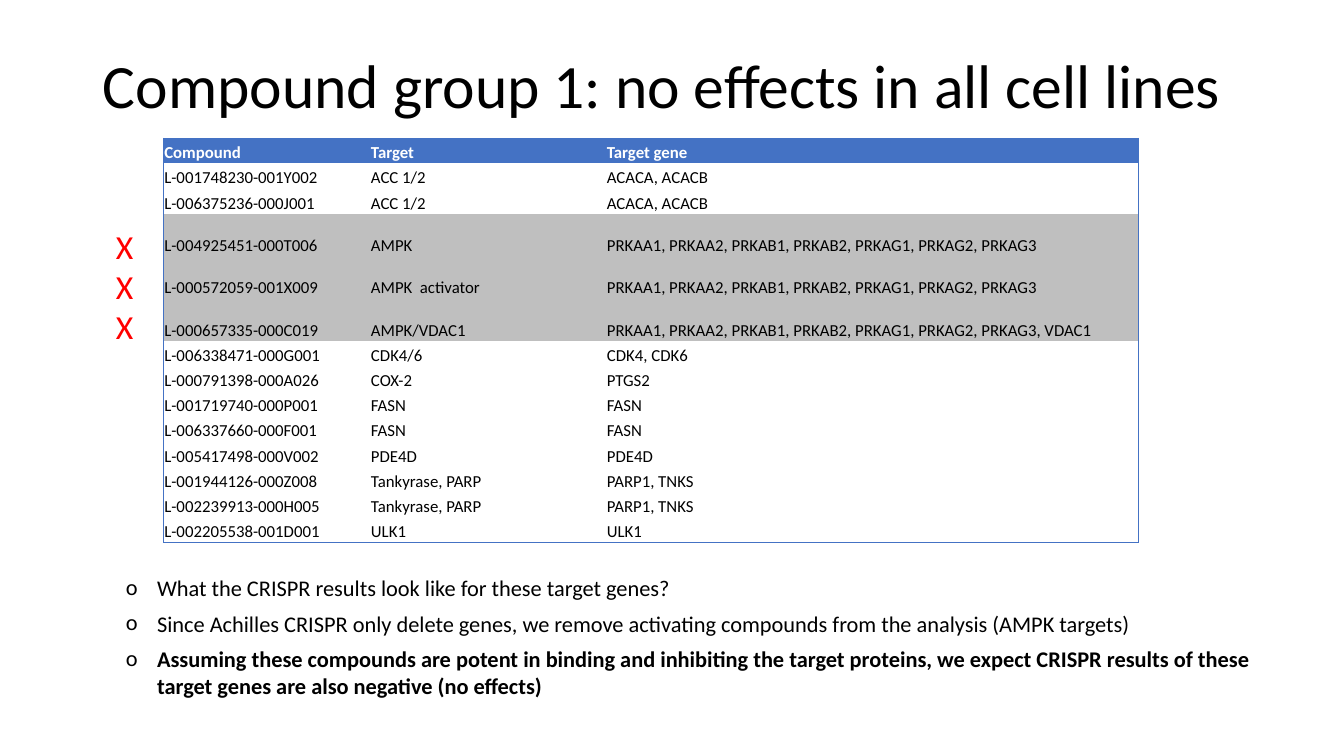
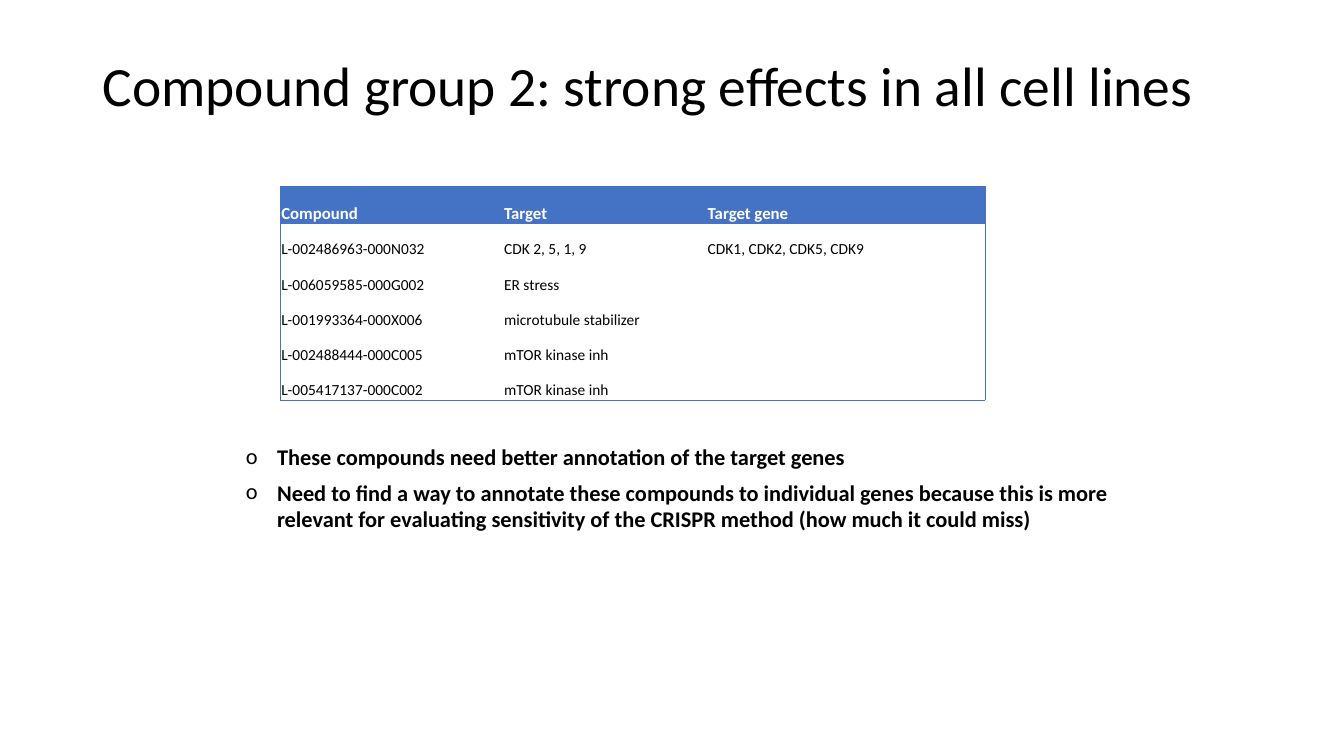
from dataclasses import dataclass

from lxml.etree import SubElement
from pptx import Presentation
from pptx.dml.color import RGBColor
from pptx.enum.text import MSO_ANCHOR, MSO_AUTO_SIZE, PP_ALIGN
from pptx.oxml.ns import qn
from pptx.util import Inches, Pt


@dataclass(frozen=True)
class Theme:
    """Colours, type and line sizes shared by the slides."""
    font: str = "Calibri"
    text: str = "000000"
    accent: str = "4472C4"
    header_text: str = "FFFFFF"
    removed_fill: str = "BFBFBF"
    mark: str = "FF0000"
    header_size: float = 12
    note_size: float = 16
    mark_size: float = 24
    border_width: float = 0.5
    plain_table_style: str = "{2D5ABB26-0587-4C30-8999-92F81FD0307C}"


THEME = Theme()
HEADER = ("Compound", "Target", "Target gene")
AMPK_GENES = "PRKAA1, PRKAA2, PRKAB1, PRKAB2, PRKAG1, PRKAG2, PRKAG3"

GROUPS = [
    {
        "title": "Compound group 1: no effects in all cell lines",
        "title_size": 44,
        "compounds": [
            ("L-001748230-001Y002", "ACC 1/2", "ACACA, ACACB"),
            ("L-006375236-000J001", "ACC 1/2", "ACACA, ACACB"),
            ("L-004925451-000T006", "AMPK", AMPK_GENES),
            ("L-000572059-001X009", "AMPK  activator", AMPK_GENES),
            ("L-000657335-000C019", "AMPK/VDAC1", AMPK_GENES + ", VDAC1"),
            ("L-006338471-000G001", "CDK4/6", "CDK4, CDK6"),
            ("L-000791398-000A026", "COX-2", "PTGS2"),
            ("L-001719740-000P001", "FASN", "FASN"),
            ("L-006337660-000F001", "FASN", "FASN"),
            ("L-005417498-000V002", "PDE4D", "PDE4D"),
            ("L-001944126-000Z008", "Tankyrase, PARP", "PARP1, TNKS"),
            ("L-002239913-000H005", "Tankyrase, PARP", "PARP1, TNKS"),
            ("L-002205538-001D001", "ULK1", "ULK1"),
        ],
        "table_at": (1.62, 1.37),
        "columns": (2.05, 2.34, 5.28),
        "header_height": 0.25,
        "row_height": 0.25,
        "removed_height": 0.42,
        "body_size": 12,
        "notes": [
            ("What the CRISPR results look like for these target genes?", False),
            ("Since Achilles CRISPR only delete genes, we remove activating "
             "compounds from the analysis (AMPK targets)", False),
            ("Assuming these compounds are potent in binding and inhibiting the "
             "target proteins, we expect CRISPR results of these target genes "
             "are also negative (no effects)", True),
        ],
        "notes_at": (1.15, 5.65, 11.47, 1.35),
        "marks_at": (1.05, 2.19, 0.38, 1.31),
    },
    {
        "title": "Compound group 2: strong effects in all cell lines",
        "title_size": 39.6,
        "compounds": [
            ("L-002486963-000N032", "CDK 2, 5, 1, 9", "CDK1, CDK2, CDK5, CDK9"),
            ("L-006059585-000G002", "ER stress", ""),
            ("L-001993364-000X006", "microtubule stabilizer", ""),
            ("L-002488444-000C005", "mTOR kinase inh", ""),
            ("L-005417137-000C002", "mTOR kinase inh", ""),
        ],
        "table_at": (2.78, 1.85),
        "columns": (2.21, 2.02, 2.76),
        "header_height": 0.37,
        "row_height": 0.35,
        "body_size": 11,
        "notes": [
            ("These compounds need better annotation of the target genes", True),
            ("Need to find a way to annotate these compounds to individual genes "
             "because this is more relevant for evaluating sensitivity of the "
             "CRISPR method (how much it could miss)", True),
        ],
        "notes_at": (2.34, 4.35, 9.37, 0.99),
    },
]


def is_removed(compound):
    """Tell whether a compound row is an AMPK one, left out of the analysis."""
    return compound[1].startswith("AMPK")


def add_run(paragraph, text, size, color=THEME.text, bold=False):
    """Add one formatted run."""
    run = paragraph.add_run()
    run.text = text
    run.font.name = THEME.font
    run.font.size = Pt(size)
    run.font.bold = bold
    run.font.color.rgb = RGBColor.from_string(color)


def set_title(slide, text, size):
    """Place and format the title placeholder."""
    title = slide.shapes.title
    title.left, title.top, title.width, title.height = map(
        Inches, (0.92, 0.4, 11.5, 0.96))
    frame = title.text_frame
    frame.word_wrap = True
    frame.auto_size = MSO_AUTO_SIZE.NONE
    frame.vertical_anchor = MSO_ANCHOR.MIDDLE
    paragraph = frame.paragraphs[0]
    paragraph.alignment = PP_ALIGN.LEFT
    paragraph.line_spacing = 0.9
    add_run(paragraph, text, size)


def add_borders(cell, sides):
    """Draw accent borders on the given sides of a cell."""
    properties = cell._tc.get_or_add_tcPr()
    for side in sides:
        line = SubElement(properties, qn(f"a:ln{side}"),
                          w=str(Pt(THEME.border_width)))
        fill = SubElement(line, qn("a:solidFill"))
        SubElement(fill, qn("a:srgbClr"), val=THEME.accent)


def add_compound_table(slide, group):
    """Add the compound table with an outer border and shaded removed rows."""
    rows = [HEADER, *group["compounds"]]
    heights = [group["header_height"]] + [
        group["removed_height"] if is_removed(compound) else group["row_height"]
        for compound in group["compounds"]]
    columns = group["columns"]
    table = slide.shapes.add_table(
        len(rows), len(columns), *map(Inches, group["table_at"]),
        Inches(sum(columns)), Inches(sum(heights))).table
    table.first_row = table.horz_banding = False
    table._tbl.tblPr.find(qn("a:tableStyleId")).text = THEME.plain_table_style
    for column, width in zip(table.columns, columns):
        column.width = Inches(width)

    for r, (values, height) in enumerate(zip(rows, heights)):
        table.rows[r].height = Inches(height)
        header = r == 0
        for c, value in enumerate(values):
            cell = table.cell(r, c)
            cell.margin_left = cell.margin_right = cell.margin_top = Inches(0.01)
            cell.margin_bottom = 0
            cell.vertical_anchor = MSO_ANCHOR.BOTTOM
            edges = {"L": c == 0, "R": c == len(columns) - 1,
                     "T": header, "B": r == len(rows) - 1}
            add_borders(cell, [side for side, outer in edges.items() if outer])
            if header or is_removed(values):
                cell.fill.solid()
                cell.fill.fore_color.rgb = RGBColor.from_string(
                    THEME.accent if header else THEME.removed_fill)
            else:
                cell.fill.background()
            if value:
                add_run(cell.text_frame.paragraphs[0], value,
                        THEME.header_size if header else group["body_size"],
                        THEME.header_text if header else THEME.text, header)


def add_lines(slide, box, lines, size, color, bulleted):
    """Add a text box with one paragraph per (text, bold) line."""
    frame = slide.shapes.add_textbox(*map(Inches, box)).text_frame
    frame.word_wrap = bulleted
    frame.auto_size = MSO_AUTO_SIZE.SHAPE_TO_FIT_TEXT
    for i, (text, bold) in enumerate(lines):
        paragraph = frame.add_paragraph() if i else frame.paragraphs[0]
        if bulleted:
            paragraph.space_after = Pt(6)
            properties = paragraph._p.get_or_add_pPr()
            properties.set("marL", str(Inches(0.31)))
            properties.set("indent", str(-Inches(0.31)))
            SubElement(properties, qn("a:buFont"), typeface=THEME.font)
            SubElement(properties, qn("a:buChar"), char="o")
        add_run(paragraph, text, size, color, bold)


def main():
    """Build one slide per compound group."""
    deck = Presentation()
    deck.slide_width, deck.slide_height = Inches(13.33), Inches(7.5)
    title_only = deck.slide_layouts.get_by_name("Title Only")
    for group in GROUPS:
        slide = deck.slides.add_slide(title_only)
        set_title(slide, group["title"], group["title_size"])
        add_compound_table(slide, group)
        add_lines(slide, group["notes_at"], group["notes"],
                  THEME.note_size, THEME.text, True)
        if "marks_at" in group:
            marks = [("X", False) for compound in group["compounds"]
                     if is_removed(compound)]
            add_lines(slide, group["marks_at"], marks,
                      THEME.mark_size, THEME.mark, False)
    deck.save("out.pptx")


if __name__ == "__main__":
    main()
